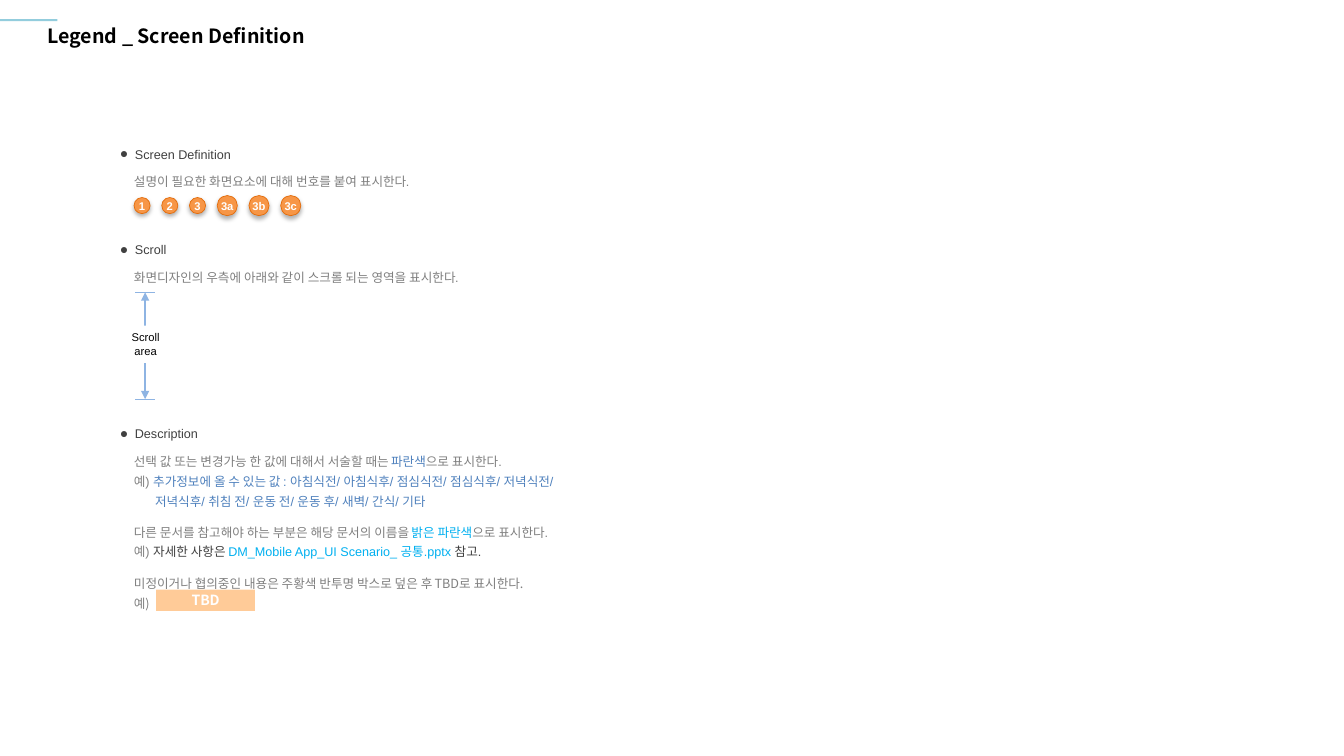
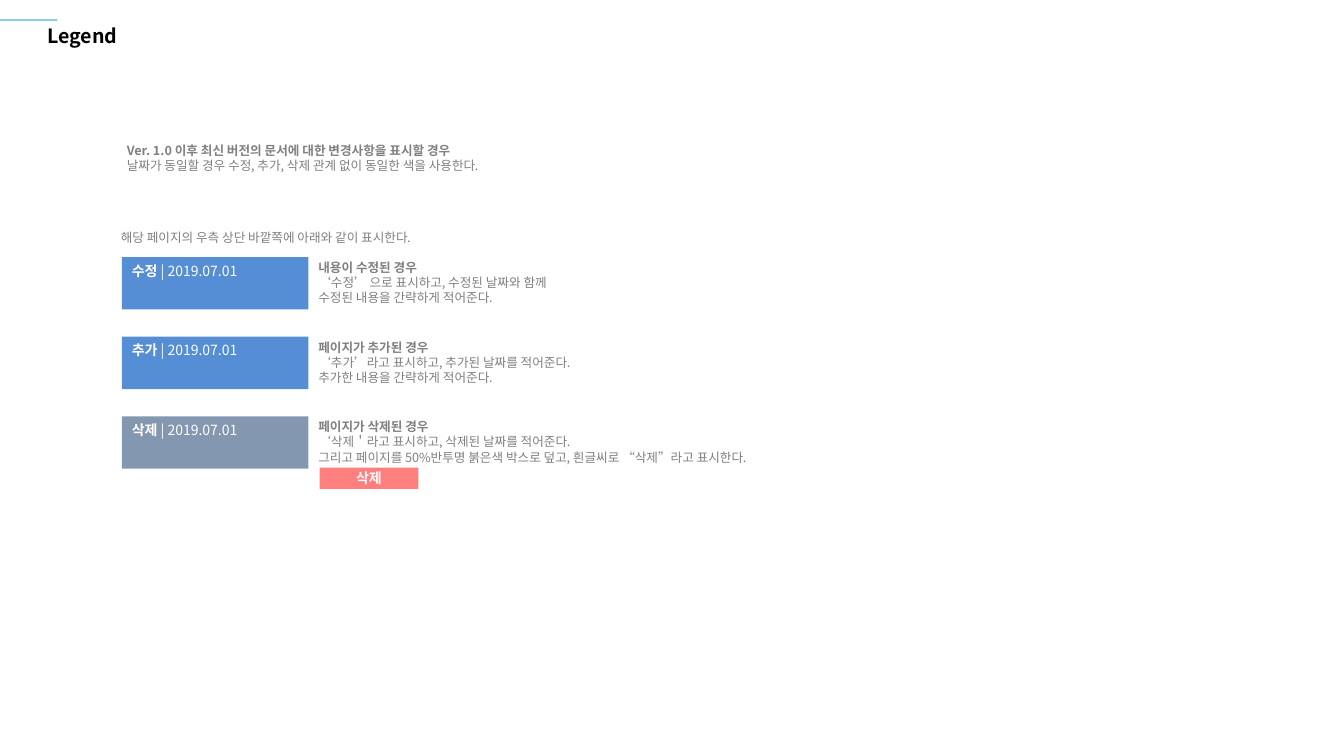
from dataclasses import dataclass
from typing import NamedTuple

from lxml.etree import SubElement
from pptx import Presentation
from pptx.dml.color import RGBColor
from pptx.enum.shapes import MSO_CONNECTOR, MSO_SHAPE
from pptx.enum.text import MSO_ANCHOR, MSO_AUTO_SIZE, PP_ALIGN
from pptx.oxml.ns import qn
from pptx.util import Emu, Inches, Pt

COLORS = {
    "black": "000000", "white": "FFFFFF", "dark": "404040", "gray": "808080",
    "teal": "93CDDD", "blue": "4F81BD", "bright": "00B0F0",
    "orange": "F79646", "orange edge": "E46C0A", "scroll": "8EB4E3",
    "undecided": "FF9933", "removed": "FF0000",
    "changed card": "558ED5", "deleted card": "8497B0",
}
LATIN = "Arial"
KOREAN = "Noto Sans CJK KR"

# The page grid has ten columns and ten rows to the inch
COLUMNS, ROWS = 133.33, 75


def grid(cells: float) -> Emu:
    return Inches(cells / 10)


class Box(NamedTuple):
    left: float
    top: float
    width: float
    height: float

    def lengths(self) -> list[Emu]:
        return [grid(cells) for cells in self]


class Run(NamedTuple):
    text: str
    color: str | None = None
    bold: bool | None = None


@dataclass(frozen=True)
class Line:
    runs: tuple[Run, ...]
    spacing: float = 1.0
    indent: float = 0
    bullet: bool = False


@dataclass(frozen=True)
class Block:
    box: Box
    lines: tuple[Line, ...]
    font: str = KOREAN


@dataclass(frozen=True)
class Change:
    label: str
    color: str
    description: tuple[str, str, str]


def line(*runs: str | Run, spacing: float = 1.0, indent: float = 0, bullet: bool = False) -> Line:
    return Line(tuple(Run(run) if isinstance(run, str) else run for run in runs), spacing, indent, bullet)


# Text and shapes
def add_bullet(paragraph, color: str) -> None:
    properties = paragraph._p.get_or_add_pPr()
    properties.set("marL", str(grid(1.5)))
    properties.set("indent", str(-grid(1.5)))
    SubElement(SubElement(properties, qn("a:buClr")), qn("a:srgbClr"), val=COLORS[color])
    SubElement(properties, qn("a:buSzPct"), val="111000")
    SubElement(properties, qn("a:buFont"), typeface=LATIN)
    SubElement(properties, qn("a:buChar"), char="●")


def write_text(shape, lines: tuple[Line, ...], *, size: float = 9, font: str = KOREAN,
               color: str = "gray", bold: bool = False, align=PP_ALIGN.LEFT,
               anchor=MSO_ANCHOR.TOP, wrap: bool = True, side_inset: float = 1) -> None:
    frame = shape.text_frame
    frame.auto_size = MSO_AUTO_SIZE.NONE
    frame.word_wrap = wrap
    frame.vertical_anchor = anchor
    frame.margin_left = frame.margin_right = grid(side_inset)
    frame.margin_top = frame.margin_bottom = grid(0.5)
    for index, content in enumerate(lines):
        paragraph = frame.add_paragraph() if index else frame.paragraphs[0]
        paragraph.alignment = align
        paragraph.line_spacing = content.spacing
        if content.indent:
            paragraph._p.get_or_add_pPr().set("marL", str(grid(content.indent)))
        if content.bullet:
            add_bullet(paragraph, color)
        for part in content.runs:
            run = paragraph.add_run()
            run.text = part.text
            run.font.size = Pt(size)
            run.font.name = font
            run.font.bold = bold if part.bold is None else part.bold
            run.font.color.rgb = RGBColor.from_string(COLORS[part.color or color])
            SubElement(run._r.get_or_add_rPr(), qn("a:ea"), typeface=KOREAN)


def add_block(slide, block: Block, color: str = "gray") -> None:
    text_box = slide.shapes.add_textbox(*block.box.lengths())
    write_text(text_box, block.lines, font=block.font, color=color)


def add_filled(slide, box: Box, fill: str, preset=MSO_SHAPE.RECTANGLE):
    shape = slide.shapes.add_shape(preset, *box.lengths())
    shape.shadow.inherit = False
    shape.fill.solid()
    shape.fill.fore_color.rgb = RGBColor.from_string(COLORS[fill])
    shape.line.fill.background()
    return shape


def add_veil(slide, left: float, top: float, fill: str, label: str) -> None:
    """Draw a half-transparent cover with a centred label."""
    veil = add_filled(slide, Box(left, top, 9.8, 2.1), fill)
    SubElement(veil.element.spPr.find(".//" + qn("a:srgbClr")), qn("a:alpha"), val="50000")
    write_text(veil, (line(label),), size=10, color="white", bold=True,
               align=PP_ALIGN.CENTER, anchor=MSO_ANCHOR.MIDDLE)


def add_rule(slide, start: tuple[float, float], end: tuple[float, float],
             width: float, arrows: bool = False) -> None:
    rule = slide.shapes.add_connector(
        MSO_CONNECTOR.STRAIGHT, *(grid(cells) for cells in (*start, *end)))
    rule.line.color.rgb = RGBColor.from_string(COLORS["scroll"])
    rule.line.width = Pt(width)
    if arrows:
        outline = rule.line._get_or_add_ln()
        for tip in ("a:headEnd", "a:tailEnd"):
            SubElement(outline, qn(tip), type="triangle")
    SubElement(rule.element.spPr, qn("a:effectLst"))


# Shared page design
def prepare_layout(presentation):
    layout = presentation.slide_layouts.get_by_name("Title Only")
    title = layout.placeholders[0]
    title.left, title.top, title.width, title.height = Box(3.7, 2.1, 125.3, 3.2).lengths()
    return layout


def add_page(presentation, layout, title: str):
    slide = presentation.slides.add_slide(layout)
    write_text(slide.shapes.title, (line(title, spacing=0.9),), size=14, color="black",
               bold=True, anchor=MSO_ANCHOR.MIDDLE)
    return slide


def add_accent(slide, layout) -> None:
    """Draw the accent bar and hand it over to the layout."""
    accent = add_filled(slide, Box(0, 1.9, 5.7, 0.2), "teal")
    layout.shapes.element.append(accent.element)


# Slide 1: screen definition
HEADINGS = {"Screen Definition": 13.3, "Scroll": 22.8, "Description": 41}
BODY_LEFT = 12.3
EXAMPLE = 1.3
LEAD = 1.5

SCREEN_BLOCKS = (
    Block(Box(BODY_LEFT, 16, 33.1, 3.3), (
        line("설명이 필요한 화면요소에 대해 번호를 붙여 표시한다.", spacing=LEAD),), LATIN),
    Block(Box(BODY_LEFT, 25.5, 38.2, 3.3), (
        line("화면디자인의 우측에 아래와 같이 스크롤 되는 영역을 표시한다.", spacing=LEAD),), LATIN),
    Block(Box(BODY_LEFT, 43.8, 49.6, 7.2), (
        line("선택 값 또는 변경가능 한 값에 대해서 서술할 때는 ", Run("파란색", "blue"),
             "으로 표시한다.", spacing=LEAD),
        line("예)", Run(" 추가정보에 올 수 있는 값 : 아침식전/ 아침식후/ 점심식전/ 점심식후/ 저녁식전/", "blue"),
             spacing=EXAMPLE),
        line(Run("저녁식후/ 취침 전/ 운동 전/ 운동 후/ 새벽/ 간식/ 기타", "blue"),
             spacing=EXAMPLE, indent=2.1)), LATIN),
    Block(Box(BODY_LEFT, 50.8, 48.3, 5.3), (
        line("다른 문서를 참고해야 하는 부분은 해당 문서의 이름을 ", Run("밝은 파란색", "bright"),
             "으로 표시한다.", spacing=LEAD),
        line("예) ", Run("자세한 사항은 ", "dark"),
             Run("DM_Mobile App_UI Scenario_ 공통.pptx ", "bright"), Run("참고.", "dark"),
             spacing=EXAMPLE)), LATIN),
    Block(Box(BODY_LEFT, 55.9, 45.2, 5.3), (
        line("미정이거나 협의중인 내용은 주황색 반투명 박스로 덮은 후 TBD로 표시한다.", spacing=LEAD),
        line("예)", spacing=EXAMPLE))),
)


def add_badges(slide) -> None:
    left, middle, gap = 13.3, 20.4, 1.15
    for label in ("1", "2", "3", "3a", "3b", "3c"):
        size = 1.6 if len(label) == 1 else 2
        badge = add_filled(slide, Box(left, middle - size / 2, size, size), "orange", MSO_SHAPE.OVAL)
        badge.line.color.rgb = RGBColor.from_string(COLORS["orange edge"])
        badge.line.width = Pt(0.5)
        shadow = SubElement(badge.element.spPr.find(qn("a:effectLst")), qn("a:outerShdw"),
                            blurRad=str(Pt(3)), dist=str(Pt(2)), dir="5400000", rotWithShape="0")
        SubElement(SubElement(shadow, qn("a:srgbClr"), val=COLORS["black"]), qn("a:alpha"), val="30000")
        write_text(badge, (line(label),), size=8, font=LATIN, color="white", bold=True,
                   align=PP_ALIGN.CENTER, anchor=MSO_ANCHOR.MIDDLE, wrap=False, side_inset=0)
        left += size + gap


def add_scroll_range(slide) -> None:
    center, top, bottom = 14.4, 29, 39.6
    add_rule(slide, (center, top), (center, bottom), 1.25, arrows=True)
    for row in (top, bottom):
        add_rule(slide, (center - 1, row), (center + 1, row), 0.75)
    label = add_filled(slide, Box(12.6, 32.3, 3.7, 3.7), "white")
    write_text(label, (line("Scroll"), line("area")), size=8, font=LATIN, color="black",
               align=PP_ALIGN.CENTER, wrap=False, side_inset=0.4)


def fill_screen_definition(slide) -> None:
    for heading, top in HEADINGS.items():
        add_block(slide, Block(Box(10.9, top, 15, 3.5),
                               (line(heading, spacing=LEAD, bullet=True),), LATIN), "dark")
    for block in SCREEN_BLOCKS:
        add_block(slide, block)
    add_badges(slide)
    add_scroll_range(slide)
    add_veil(slide, 15.5, 58.5, "undecided", "TBD")


# Slide 2: change marks
CHANGE_BLOCKS = (
    Block(Box(11.6, 13.7, 41.3, 4), (
        line(Run("Ver. 1.0 이후 최신 버전의 문서에 대한 변경사항을 표시할 경우", bold=True)),
        line("날짜가 동일할 경우 수정, 추가, 삭제 관계 없이 동일한 색을 사용한다."))),
    Block(Box(11, 21.6, 34.4, 3.3), (
        line("해당 페이지의 우측 상단 바깥쪽에 아래와 같이 표시한다.", spacing=LEAD),)),
)
CHANGES = (
    Change("수정", "changed card", (
        "내용이 수정된 경우", "‘수정’ 으로 표시하고, 수정된 날짜와 함께",
        "수정된 내용을 간략하게 적어준다.")),
    Change("추가", "changed card", (
        "페이지가 추가된 경우", "‘추가’라고 표시하고, 추가된 날짜를 적어준다.",
        "추가한 내용을 간략하게 적어준다.")),
    Change("삭제", "deleted card", (
        "페이지가 삭제된 경우", "‘삭제＇라고 표시하고, 삭제된 날짜를 적어준다.",
        "그리고 페이지를 50%반투명 붉은색 박스로 덮고, 흰글씨로 “삭제”라고 표시한다.")),
)


def fill_changes(slide) -> None:
    for block in CHANGE_BLOCKS:
        add_block(slide, block)
    for index, change in enumerate(CHANGES):
        top = 25.5 + index * 7.9
        card = add_filled(slide, Box(12.1, top, 18.5, 5.2), change.color)
        write_text(card, (line(Run(change.label + " ", bold=True), "| 2019.07.01"),),
                   size=10, color="white")
        heading, *details = change.description
        add_block(slide, Block(Box(30.6, top - 0.2, 48.7, 5.6),
                               (line(Run(heading, bold=True)), *map(line, details))))
    add_veil(slide, 31.7, 46.4, "removed", "삭제")


def main() -> None:
    presentation = Presentation()
    presentation.slide_width, presentation.slide_height = grid(COLUMNS), grid(ROWS)
    layout = prepare_layout(presentation)
    screen_page = add_page(presentation, layout, "Legend _ Screen Definition")
    add_accent(screen_page, layout)
    fill_screen_definition(screen_page)
    fill_changes(add_page(presentation, layout, "Legend"))
    presentation.save("out.pptx")


if __name__ == "__main__":
    main()
